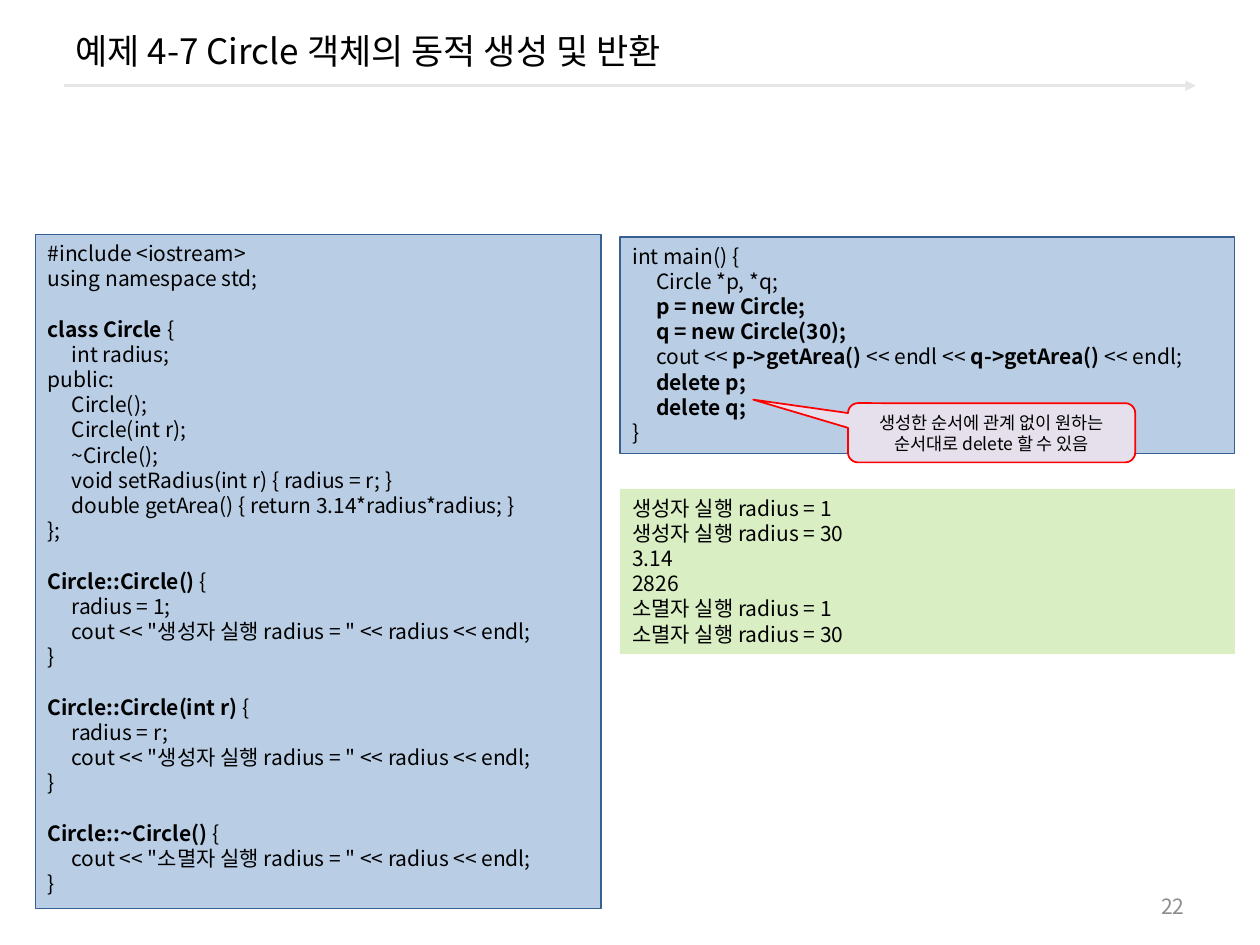
import dataclasses

import lxml.etree
import pptx
import pptx.dml.color
import pptx.enum.shapes
import pptx.enum.text
import pptx.oxml.ns
import pptx.shapes.autoshape
import pptx.slide
import pptx.util

Inches, Pt = pptx.util.Inches, pptx.util.Pt
qn = pptx.oxml.ns.qn
RGB = pptx.dml.color.RGBColor.from_string
SHAPE = pptx.enum.shapes.MSO_SHAPE
ALIGN = pptx.enum.text.PP_ALIGN
ANCHOR = pptx.enum.text.MSO_ANCHOR


@dataclasses.dataclass(frozen=True)
class Theme:
    font: str = "Noto Sans CJK KR"
    ink: str = "000000"
    muted: str = "8C8C8C"
    rule: str = "E6E6E6"
    code_fill: str = "B9CDE5"
    code_line: str = "376092"
    output_fill: str = "DAEEC4"
    note_fill: str = "E6E0EC"
    note_line: str = "FF0000"
    title_size: float = 20
    body_size: float = 12
    note_size: float = 10
    leading: float = 1.2
    tab: float = 0.19


@dataclasses.dataclass(frozen=True)
class Panel:
    box: tuple[float, float, float, float]
    text: str
    fill: str | None = None
    line: str | None = None
    line_width: float = 0.75
    size: float = 12
    color: str = "000000"
    align: ALIGN = ALIGN.LEFT
    anchor: ANCHOR = ANCHOR.TOP
    kind: SHAPE = SHAPE.RECTANGLE
    adjustments: tuple[float, ...] = ()


THEME = Theme()

CLASS_CODE = """#include <iostream>
using namespace std;

**class Circle **{
\tint radius;
public:
\tCircle();
\tCircle(int r);
\t~Circle();
\tvoid setRadius(int r) { radius = r; }
\tdouble getArea() { return 3.14*radius*radius; }
};

**Circle::Circle() **{
\tradius = 1;
\tcout << "생성자 실행 radius = " << radius << endl;
}

**Circle::Circle(int r) **{
\tradius = r;
\tcout << "생성자 실행 radius = " << radius << endl;
}

**Circle::~Circle() **{
\tcout << "소멸자 실행 radius = " << radius << endl;
}"""

MAIN_CODE = """int main() {
\tCircle *p, *q;
\t**p = new Circle;**
\t**q = new Circle(30);**
\tcout << **p->getArea() **<< endl << **q->getArea() **<< endl;
\t**delete p;**
\t**delete q;**
}"""

OUTPUT = """생성자 실행 radius = 1
생성자 실행 radius = 30
3.14
2826
소멸자 실행 radius = 1
소멸자 실행 radius = 30"""

PANELS = (
    Panel((0.5, 0.08, 9, 0.64), "예제 4-7 Circle 객체의 동적 생성 및 반환",
          size=THEME.title_size, anchor=ANCHOR.MIDDLE),
    Panel((7.17, 7.03, 2.33, 0.32), "22", color=THEME.muted,
          align=ALIGN.RIGHT, anchor=ANCHOR.MIDDLE),
    Panel((0.28, 1.86, 4.49, 5.35), CLASS_CODE, THEME.code_fill, THEME.code_line),
    Panel((4.92, 1.88, 4.88, 1.72), MAIN_CODE, THEME.code_fill, THEME.code_line),
    Panel((4.92, 3.88, 4.88, 1.31), OUTPUT, THEME.output_fill),
    Panel((6.73, 3.2, 2.28, 0.47), "생성한 순서에 관계 없이 원하는 순서대로 delete 할 수 있음",
          THEME.note_fill, THEME.note_line, line_width=1, size=THEME.note_size,
          align=ALIGN.CENTER, anchor=ANCHOR.MIDDLE,
          kind=SHAPE.ROUNDED_RECTANGULAR_CALLOUT, adjustments=(-0.83, -0.56, 0.17)),
)


def write_text(tf: pptx.text.text.TextFrame, panel: Panel) -> None:
    """Write the lines, with ** toggling bold and a blank line giving space before."""
    tf.word_wrap = True
    tf.vertical_anchor = panel.anchor
    tf.margin_left = tf.margin_right = Inches(0.1)
    tf.margin_top = tf.margin_bottom = Inches(0.05)
    leading = Pt(panel.size * THEME.leading)
    lines = panel.text.split("\n")
    for i, line in enumerate(lines):
        if not line:
            continue
        p = tf.add_paragraph() if i else tf.paragraphs[0]
        p.alignment = panel.align
        p.line_spacing = leading
        p.space_before = leading if i and not lines[i - 1] else Pt(0)
        p.font.size = Pt(panel.size)
        p.font.name = THEME.font
        p.font.color.rgb = RGB(panel.color)
        props = p._p.get_or_add_pPr().find(qn("a:defRPr"))
        lxml.etree.SubElement(props, qn("a:ea"), typeface=THEME.font)
        if line.startswith("\t"):
            tabs = lxml.etree.Element(qn("a:tabLst"))
            lxml.etree.SubElement(tabs, qn("a:tab"), pos=str(Inches(THEME.tab)), algn="l")
            props.addprevious(tabs)
        for j, part in enumerate(line.split("**")):
            if part:
                r = p.add_run()
                r.text = part
                if j % 2:
                    r.font.bold = True


def draw_panel(s: pptx.slide.Slide, panel: Panel) -> None:
    """Draw a text box, or a filled shape when the panel has a fill."""
    box = [Inches(v) for v in panel.box]
    if panel.fill is None:
        sp = s.shapes.add_textbox(*box)
    else:
        sp = s.shapes.add_shape(panel.kind, *box)
        sp.shadow.inherit = False
        sp.fill.solid()
        sp.fill.fore_color.rgb = RGB(panel.fill)
        if panel.line:
            sp.line.color.rgb = RGB(panel.line)
            sp.line.width = Pt(panel.line_width)
        else:
            sp.line.fill.background()
        for i, value in enumerate(panel.adjustments):
            sp.adjustments[i] = value
    write_text(sp.text_frame, panel)


def draw_title_rule(s: pptx.slide.Slide) -> None:
    """Draw the arrow under the title."""
    y = Inches(0.68)
    rule = s.shapes.add_connector(
        pptx.enum.shapes.MSO_CONNECTOR.STRAIGHT, Inches(0.51), y, Inches(9.49), y)
    rule.line.color.rgb = RGB(THEME.rule)
    rule.line.width = Pt(1.5)
    lxml.etree.SubElement(rule.line._get_or_add_ln(), qn("a:tailEnd"), type="triangle")
    lxml.etree.SubElement(rule._element.spPr, qn("a:effectLst"))


def main() -> None:
    """Build and save the slide."""
    prs = pptx.Presentation()
    prs.slide_width, prs.slide_height = Inches(10), Inches(7.5)
    s = prs.slides.add_slide(prs.slide_layouts[6])
    draw_title_rule(s)
    for panel in PANELS:
        draw_panel(s, panel)
    prs.save("out.pptx")


if __name__ == "__main__":
    main()
